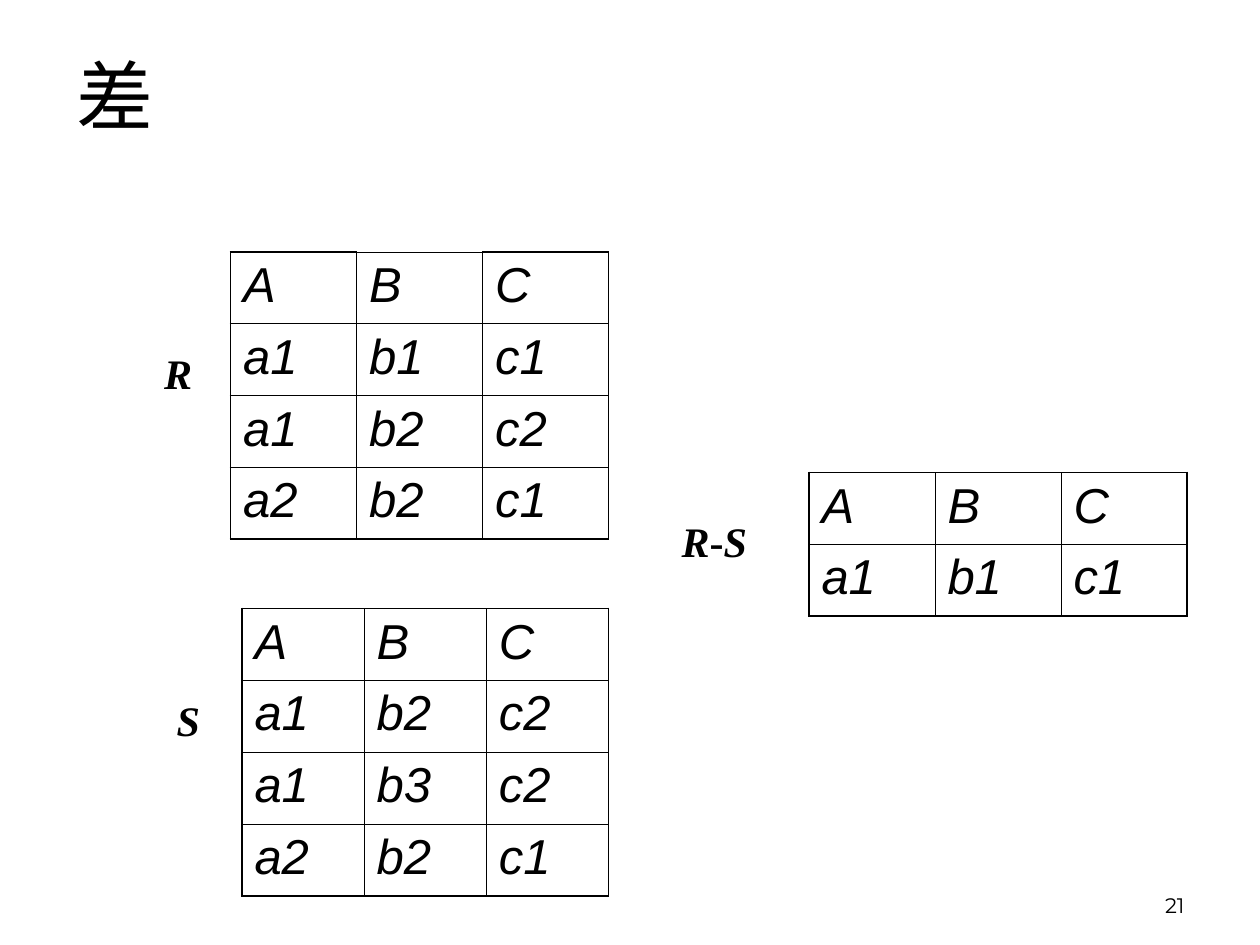
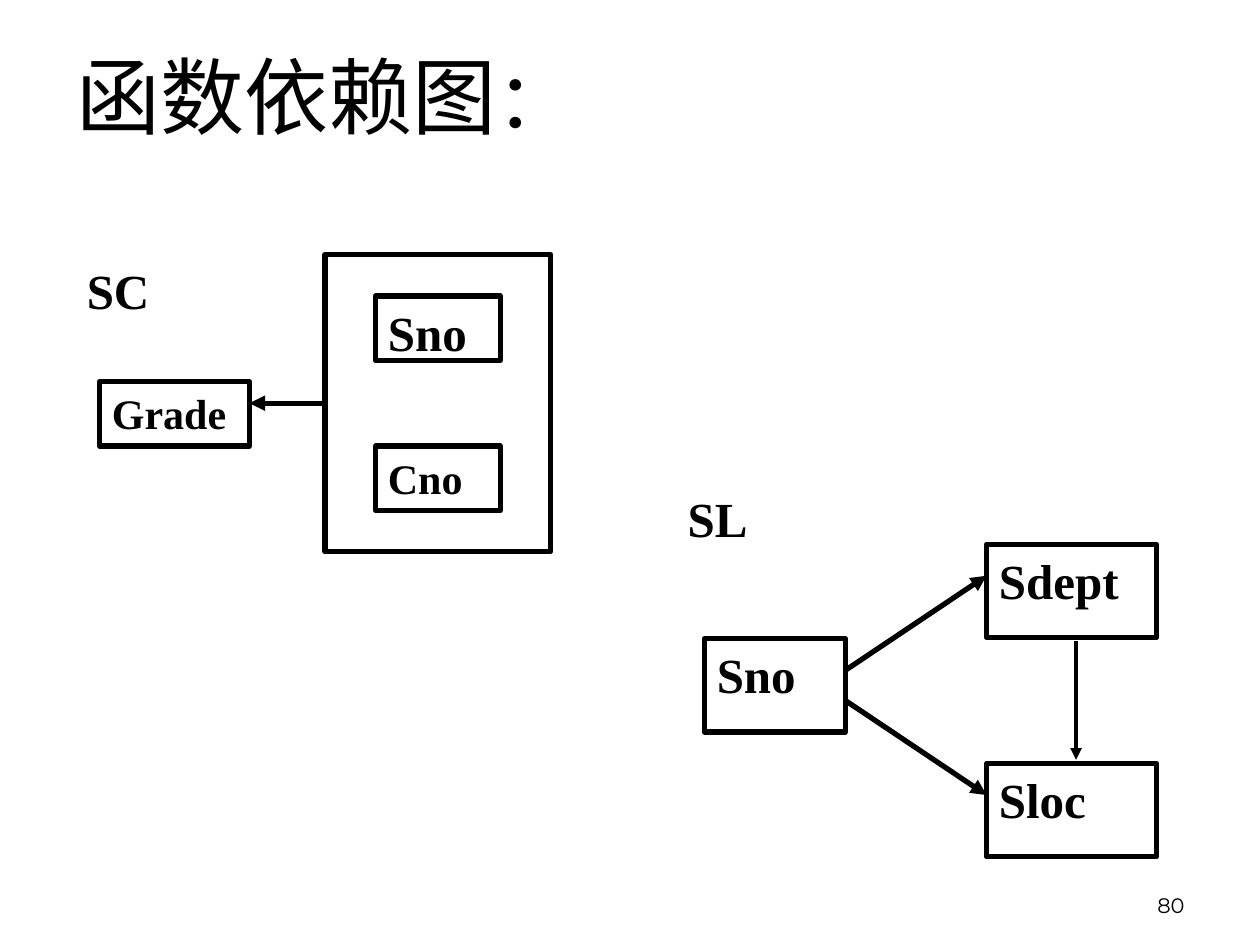
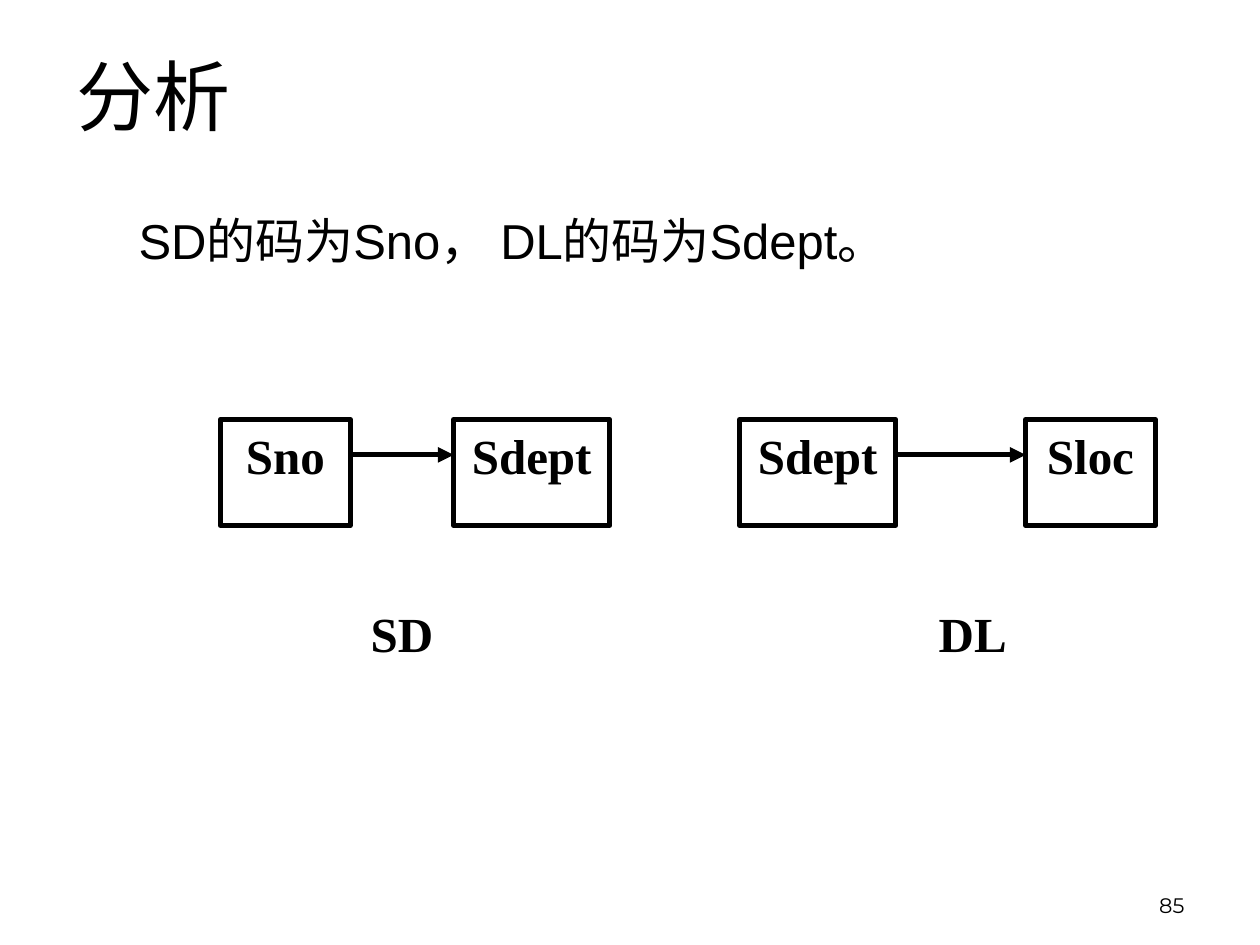
from lxml import etree
from pptx import Presentation
from pptx.dml.color import RGBColor
from pptx.enum.shapes import MSO_CONNECTOR, MSO_SHAPE
from pptx.enum.text import MSO_ANCHOR, MSO_AUTO_SIZE, PP_ALIGN
from pptx.oxml.ns import qn
from pptx.util import Emu, Pt

PX = 9144
BLACK = "000000"
SANS, SERIF, NUMBER_FONT = "Arial", "Times New Roman", "Montserrat"
LEFT, CENTER, RIGHT, JUSTIFY = PP_ALIGN.LEFT, PP_ALIGN.CENTER, PP_ALIGN.RIGHT, PP_ALIGN.JUSTIFY
TOP, MIDDLE, BOTTOM = MSO_ANCHOR.TOP, MSO_ANCHOR.MIDDLE, MSO_ANCHOR.BOTTOM
RECT, STRAIGHT, NO_FIT = MSO_SHAPE.RECTANGLE, MSO_CONNECTOR.STRAIGHT, MSO_AUTO_SIZE.NONE
TITLE_AND_BODY, TITLE_ONLY = 1, 5
LEFT_SIDE = 1
THIN, THICK = 0.45, 1.08
ROW_HEIGHT = 57


def px(*values):
    return [Emu(v * PX) for v in values]


def rgb(value):
    return RGBColor.from_string(value)


def style(font, size, name=SERIF, bold=False, italic=False):
    font.size, font.name = Pt(size), name
    font.bold, font.italic = bold, italic
    font.color.rgb = rgb(BLACK)


def place(sp, x, y, w, h):
    sp.left, sp.top, sp.width, sp.height = px(x, y, w, h)


def write(sp, text, size, align=LEFT, anchor=TOP, wrap=True, **font):
    tf = sp.text_frame
    tf.word_wrap, tf.auto_size, tf.vertical_anchor = wrap, NO_FIT, anchor
    p = tf.paragraphs[0]
    p.text, p.alignment = text, align
    style(p.font, size, **font)
    return p


def text_box(s, box, text, size, **kw):
    return write(s.shapes.add_textbox(*px(*box)), text, size, **kw)


def outline(s, box):
    sp = s.shapes.add_shape(RECT, *px(*box))
    sp.shadow.inherit = False
    sp.fill.background()
    sp.line.color.rgb = rgb(BLACK)
    sp.line.width = Pt(3)
    return sp


def node(s, box, text, size=28, align=JUSTIFY):
    write(outline(s, box), text, size, align=align, bold=True)


def caption(s, box, text, align=JUSTIFY):
    text_box(s, box, text, 28, align=align, bold=True)


def arrow(s, x1, y1, x2, y2, width=3):
    c = s.shapes.add_connector(STRAIGHT, *px(x1, y1, x2, y2))
    c.line.color.rgb = rgb(BLACK)
    c.line.width = Pt(width)
    etree.SubElement(c.line._get_or_add_ln(), qn("a:tailEnd"), type="triangle")
    etree.SubElement(c._element.spPr, qn("a:effectLst"))
    return c


def new_slide(prs, title, number, size=44, layout=TITLE_ONLY):
    s = prs.slides.add_slide(prs.slide_layouts[layout])
    place(s.shapes.title, 51, 0, 900, 150)
    p = write(s.shapes.title, title, size, anchor=MIDDLE, name=SANS)
    text_box(s, (717, 683, 233, 50), number, 12, align=RIGHT, anchor=BOTTOM, name=NUMBER_FONT)
    return s, p


def set_borders(cell, widths):
    pr = cell._tc.get_or_add_tcPr()
    for i, (side, width) in enumerate(widths.items()):
        ln = etree.Element(qn("a:" + side), w=str(Pt(width)))
        fill = etree.SubElement(ln, qn("a:solidFill"))
        etree.SubElement(fill, qn("a:srgbClr"), val=BLACK)
        pr.insert(i, ln)


def relation(s, x, y, col_width, rows):
    n, m = len(rows), len(rows[0])
    t = s.shapes.add_table(n, m, *px(x, y, m * col_width, n * ROW_HEIGHT)).table
    t.first_row = t.horz_banding = False
    for column in t.columns:
        column.width = Emu(col_width * PX)
    for i, row in enumerate(rows):
        t.rows[i].height = Emu(ROW_HEIGHT * PX)
        for j, text in enumerate(row):
            cell = t.cell(i, j)
            cell.fill.background()
            p = cell.text_frame.paragraphs[0]
            p.text = text
            style(p.font, 28, SANS, italic=True)
            first, last = j == 0, j == m - 1
            thick = {"lnL": first, "lnR": last, "lnT": i == 0 and (first or last), "lnB": i == n - 1}
            set_borders(cell, {side: THICK if on else THIN for side, on in thick.items()})


def relation_label(s, x, y, w, text):
    return text_box(s, (x, y, w, 92), text, 24, align=CENTER, anchor=MIDDLE,
                    wrap=False, bold=True, italic=True)


def difference_slide(prs):
    s, _ = new_slide(prs, "差", "21")
    header = ["A", "B", "C"]
    relation(s, 183, 200, 100, [header, ["a1", "b1", "c1"], ["a1", "b2", "c2"], ["a2", "b2", "c1"]])
    relation(s, 642, 375, 100, [header, ["a1", "b1", "c1"]])
    relation(s, 192, 483, 97, [header, ["a1", "b2", "c2"], ["a1", "b3", "c2"], ["a2", "b2", "c1"]])
    relation_label(s, 125, 250, 33, "R")
    relation_label(s, 133, 525, 33, "S")
    p = relation_label(s, 525, 383, 92, "R")
    for text, italic in (("-", False), ("S ", True)):
        r = p.add_run()
        r.text = text
        style(r.font, 24, bold=True, italic=italic)
    style(p.runs[0].font, 24, bold=True, italic=True)


def sc_diagram(s, x, y):
    key = outline(s, (x + 199, y, 179, 236))
    node(s, (x + 239, y + 33, 99, 51), "Sno")
    node(s, (x + 239, y + 152, 99, 51), "Cno", 24)
    node(s, (x + 20, y + 101, 119, 51), "Grade", 24)
    arrow(s, x + 199, y + 118, x + 139, y + 118).begin_connect(key, LEFT_SIDE)
    caption(s, (x, y, 99, 51), "SC")


def sl_diagram(s, x, y):
    caption(s, (x, y, 135, 74), "SL")
    node(s, (x + 23, y + 124, 112, 74), "Sno")
    for text, node_y, start_y in (("Sdept", y + 49, y + 149), ("Sloc", y + 223, y + 173)):
        node(s, (x + 247, node_y, 135, 74), text)
        arrow(s, x + 135, start_y, x + 247, node_y + 25)
    arrow(s, x + 318, y + 126, x + 318, y + 220, 2.25)


def dependency_slide(prs):
    s, p = new_slide(prs, "函数依赖图", "80", 48)
    r = p.add_run()
    r.text = "："
    r.font.size = Pt(44)
    sc_diagram(s, 59, 202)
    sl_diagram(s, 536, 383)


def dependency_pair(s, x, y, source, source_w, gap, target, target_w, name, name_dx):
    node(s, (x, y, source_w, 84), source, align=CENTER)
    node(s, (x + source_w + gap, y, target_w, 84), target, align=CENTER)
    arrow(s, x + source_w, y + 28, x + source_w + gap, y + 28)
    caption(s, (x + name_dx, y + 141, 82, 84), name, align=CENTER)


def analysis_slide(prs):
    s, _ = new_slide(prs, "分析", "85", layout=TITLE_AND_BODY)
    body = s.placeholders[1]
    place(body, 50, 162, 900, 479)
    p = write(body, "SD的码为Sno， DL的码为Sdept。", 28, name=SANS)
    p.level, p.space_before = 1, Pt(0)
    pr = p._p.get_or_add_pPr()
    pr.set("marL", str(81 * PX))
    pr.set("indent", str(-31 * PX))
    pr.insert_element_before(etree.Element(qn("a:buNone")), "a:tabLst", "a:defRPr", "a:extLst")
    dependency_pair(s, 175, 333, "Sno", 103, 82, "Sdept", 124, "SD", 103)
    dependency_pair(s, 587, 333, "Sdept", 124, 103, "Sloc", 103, "DL", 144)


def main():
    prs = Presentation()
    prs.slide_width, prs.slide_height = px(1000, 750)
    difference_slide(prs)
    dependency_slide(prs)
    analysis_slide(prs)
    prs.save("out.pptx")


if __name__ == "__main__":
    main()
